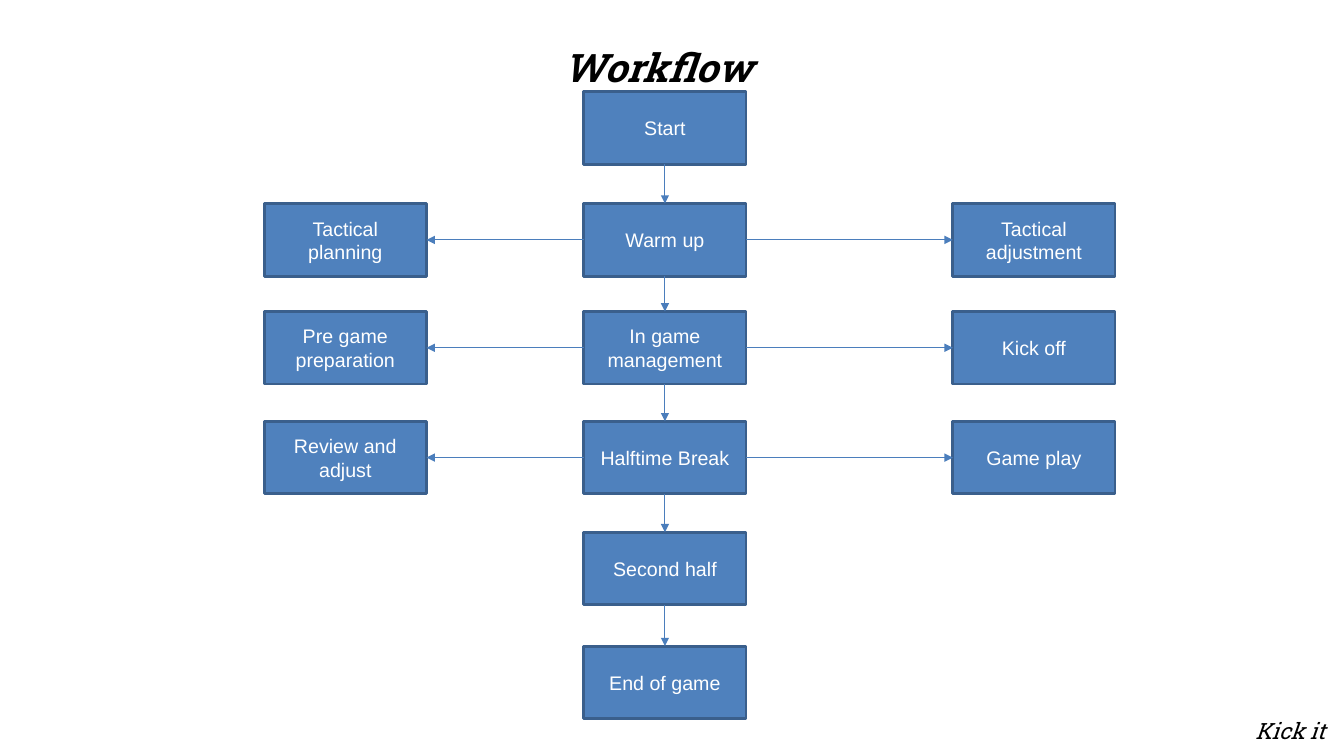
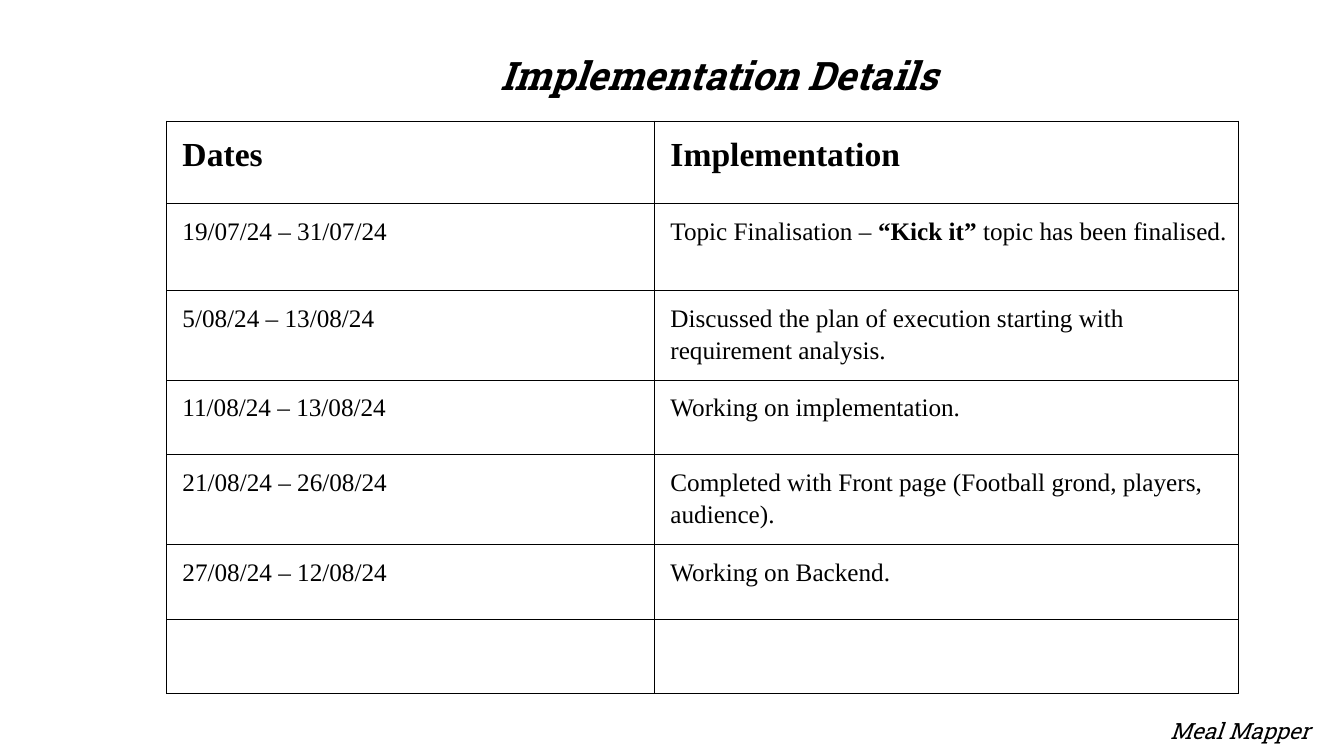
from pptx import Presentation
from pptx.dml.color import RGBColor
from pptx.enum.shapes import MSO_CONNECTOR as Link, MSO_SHAPE as Preset
from pptx.enum.text import MSO_ANCHOR as Anchor, PP_ALIGN as Align
from pptx.oxml import parse_xml
from pptx.oxml.ns import nsdecls
from pptx.util import Inches, Pt

COLORS = {
    "text": "000000",
    "paper": "FFFFFF",
    "step": "4F81BD",
    "step_edge": "3A5F8C",
    "arrow": "4B7EBC",
    "grid": "000000",
}
FORMATS = {
    "title": {"name": "Roboto Slab", "size": Pt(28), "bold": True, "italic": True},
    "footer": {"name": "Roboto Slab", "size": Pt(16), "italic": True},
    "step": {"name": "Arial", "size": Pt(14)},
    "heading": {"name": "Times New Roman", "size": Pt(24), "bold": True},
    "body": {"name": "Times New Roman", "size": Pt(18)},
    "strong": {"name": "Times New Roman", "size": Pt(18), "bold": True},
}

STEP_WIDTH, STEP_HEIGHT = 1.61, 0.72
LEFT, CENTRE, RIGHT = 2.62, 5.79, 9.45
STEP_TOPS = [0.91, 2.02, 3.09, 4.18, 5.28, 6.41]
TOP_SIDE, LEFT_SIDE, BOTTOM_SIDE, RIGHT_SIDE = range(4)
WORKFLOW = [
    ("Start", None, None),
    ("Warm up", "Tactical planning", "Tactical adjustment"),
    ("In game management", "Pre game preparation", "Kick off"),
    ("Halftime Break", "Review and adjust", "Game play"),
    ("Second half", None, None),
    ("End of game", None, None),
]

COLUMN_WIDTHS = [4.84, 5.79]
ROW_HEIGHTS = [0.82, 0.86] + [0.74] * 5
SCHEDULE = [
    ([("Dates", "heading")], [("Implementation", "heading")]),
    ([("19/07/24 – 31/07/24", "body")],
     [("Topic Finalisation – ", "body"), ("“Kick it” ", "strong"),
      ("topic has been finalised.", "body")]),
    ([("5/08/24 – 13/08/24", "body")],
     [("Discussed the plan of execution starting with requirement analysis.", "body")]),
    ([("11/08/24 – 13/08/24", "body")], [("Working on implementation.", "body")]),
    ([("21/08/24 – 26/08/24", "body")],
     [("Completed with Front page (Football grond, players, audience).", "body")]),
    ([("27/08/24 – 12/08/24", "body")], [("Working on Backend.", "body")]),
    ([], []),
]


def color(key):
    return RGBColor.from_string(COLORS[key])


def apply(target, values):
    for attribute, value in values.items():
        setattr(target, attribute, value)


def write(paragraph, runs, ink="text", **layout):
    apply(paragraph, layout)
    for words, style in runs:
        run = paragraph.add_run()
        run.text = words
        apply(run.font, FORMATS[style])
        run.font.color.rgb = color(ink)


def add_text(slide, box, words, style, frame, **layout):
    text_frame = slide.shapes.add_textbox(*map(Inches, box)).text_frame
    apply(text_frame, {"word_wrap": True, **frame})
    write(text_frame.paragraphs[0], [(words, style)], **layout)


def add_title(slide, words, box):
    add_text(slide, box, words, "title", {"vertical_anchor": Anchor.BOTTOM},
             alignment=Align.CENTER, line_spacing=0.9)


def add_footer(slide, words, right_inset=0.1):
    frame = {"margin_top": Inches(0.1), "margin_right": Inches(right_inset)}
    add_text(slide, (5.99, 7.01, 7.25, 0.5), words, "footer", frame,
             alignment=Align.RIGHT)


def add_step(slide, words, left, top):
    step = slide.shapes.add_shape(
        Preset.RECTANGLE, *map(Inches, (left, top, STEP_WIDTH, STEP_HEIGHT)))
    step.shadow.inherit = False
    step.fill.solid()
    step.fill.fore_color.rgb = color("step")
    step.line.color.rgb = color("step_edge")
    step.line.width = Pt(2)
    apply(step.text_frame, {"word_wrap": True, "vertical_anchor": Anchor.MIDDLE})
    write(step.text_frame.paragraphs[0], [(words, "step")], ink="paper",
          alignment=Align.CENTER)
    return step


def add_arrow(slide, start, start_side, end, end_side):
    arrow = slide.shapes.add_connector(Link.STRAIGHT, 0, 0, 0, 0)
    arrow.begin_connect(start, start_side)
    arrow.end_connect(end, end_side)
    arrow.line.color.rgb = color("arrow")
    arrow.line.width = Pt(0.75)
    arrow.line._get_or_add_ln().append(
        parse_xml(f'<a:tailEnd {nsdecls("a")} type="triangle"/>'))
    arrow._element.spPr.append(parse_xml(f'<a:effectLst {nsdecls("a")}/>'))


def add_workflow(slide):
    previous = None
    for top, (phase, left_task, right_task) in zip(STEP_TOPS, WORKFLOW):
        current = add_step(slide, phase, CENTRE, top)
        if previous is not None:
            add_arrow(slide, previous, BOTTOM_SIDE, current, TOP_SIDE)
        for task, left, out_side, in_side in (
                (left_task, LEFT, LEFT_SIDE, RIGHT_SIDE),
                (right_task, RIGHT, RIGHT_SIDE, LEFT_SIDE)):
            if task:
                add_arrow(slide, current, out_side,
                          add_step(slide, task, left, top), in_side)
        previous = current


def style_cell(cell):
    cell.fill.solid()
    cell.fill.fore_color.rgb = color("paper")
    apply(cell, {"margin_left": Inches(0.16), "margin_right": Inches(0.1),
                 "margin_top": Inches(0.1), "margin_bottom": Inches(0.1)})
    properties = cell._tc.get_or_add_tcPr()
    for position, side in enumerate("LRTB"):
        properties.insert(position, parse_xml(
            f'<a:ln{side} {nsdecls("a")} w="{Pt(0.5)}"><a:solidFill>'
            f'<a:srgbClr val="{COLORS["grid"]}"/></a:solidFill></a:ln{side}>'))


def add_schedule(slide, left, top):
    box = (left, top, sum(COLUMN_WIDTHS), sum(ROW_HEIGHTS))
    schedule = slide.shapes.add_table(
        len(ROW_HEIGHTS), len(COLUMN_WIDTHS), *map(Inches, box)).table
    apply(schedule, {"first_row": False, "horz_banding": False})
    for column, width in zip(schedule.columns, COLUMN_WIDTHS):
        column.width = Inches(width)
    for row, height, entries in zip(schedule.rows, ROW_HEIGHTS, SCHEDULE):
        row.height = Inches(height)
        for cell, runs in zip(row.cells, entries):
            style_cell(cell)
            write(cell.text_frame.paragraphs[0], runs, line_spacing=1.15)


def main():
    deck = Presentation()
    apply(deck, {"slide_width": Inches(13.33), "slide_height": Inches(7.5)})
    blank = deck.slide_layouts[6]

    workflow = deck.slides.add_slide(blank)
    add_title(workflow, "Workflow", (2.02, 0, 9.01, 0.95))
    add_footer(workflow, "Kick it")
    add_workflow(workflow)

    implementation = deck.slides.add_slide(blank)
    add_title(implementation, "Implementation Details", (2.91, 0.19, 8.44, 0.84))
    add_footer(implementation, "Meal Mapper", right_inset=0.25)
    add_schedule(implementation, 1.65, 1.2)

    deck.save("out.pptx")


if __name__ == "__main__":
    main()
